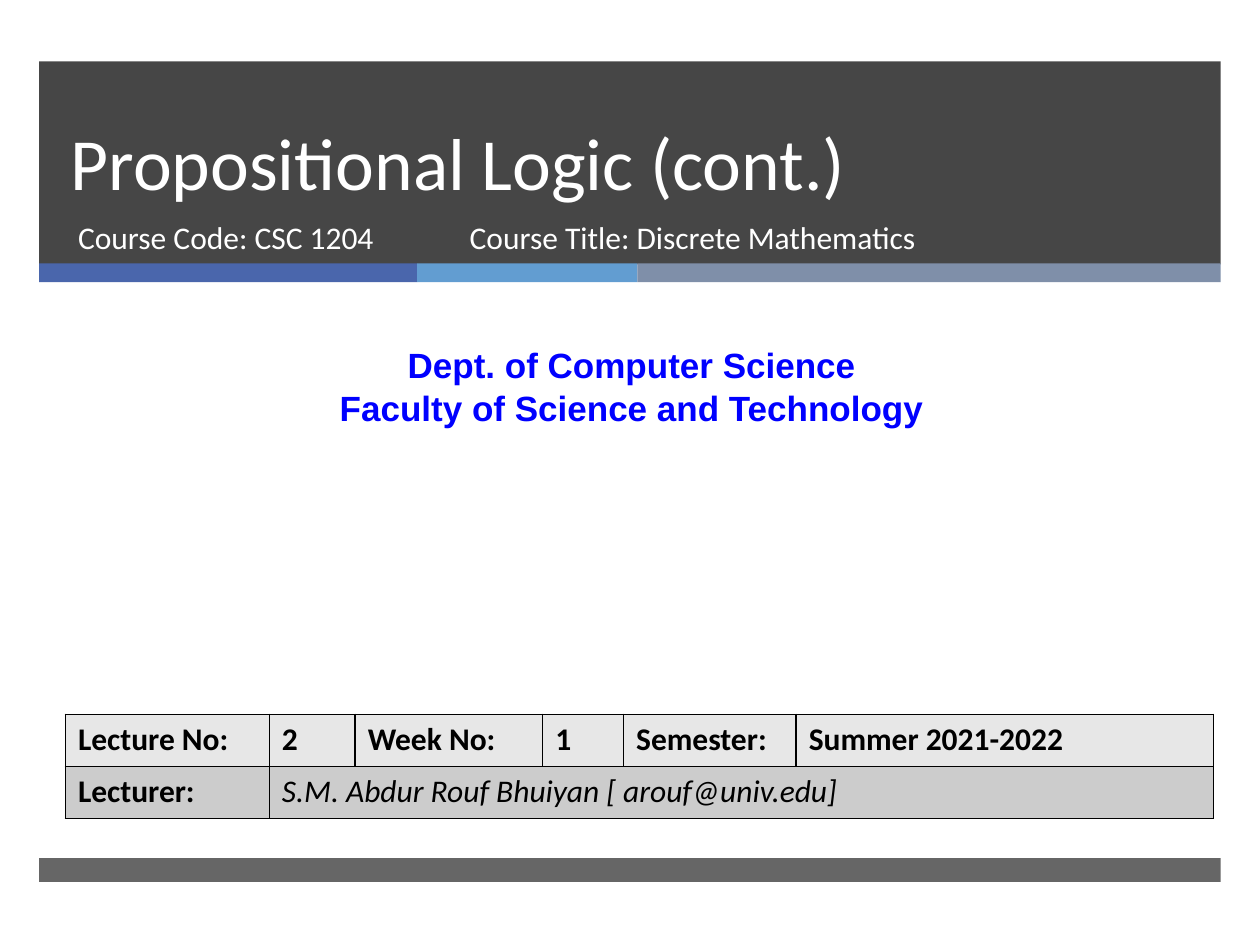
import dataclasses

import lxml.etree
import pptx
import pptx.dml.color
import pptx.enum.shapes
import pptx.enum.text
import pptx.oxml.ns
import pptx.util

Cm, Pt = pptx.util.Cm, pptx.util.Pt
RGB = pptx.dml.color.RGBColor.from_string
ALIGN, ANCHOR = pptx.enum.text.PP_ALIGN, pptx.enum.text.MSO_ANCHOR
qn = pptx.oxml.ns.qn


@dataclasses.dataclass(frozen=True)
class Theme:
    font: str = "Calibri"
    dept_font: str = "Arial"
    dark: str = "262626"
    accents: tuple = ("4A66AC", "629DD1", "7F8FA9")
    light_text: str = "FFFFFF"
    ink: str = "000000"
    dept: str = "0000FF"
    row_fills: tuple = ("E7E7E7", "CCCCCC")
    title_size: int = 42
    dept_size: int = 20
    body_size: int = 18


class CoverSlide:
    """Draws the parts of a lecture cover slide in one theme."""

    def __init__(self, slide, theme):
        self.slide = slide
        self.theme = theme

    def add_words(self, paragraph, text, color, size=None, font=None, bold=False, italic=False):
        run = paragraph.add_run()
        run.text = text
        run.font.name = font or self.theme.font
        run.font.size = Pt(size or self.theme.body_size)
        run.font.bold, run.font.italic = bold, italic
        run.font.color.rgb = RGB(color)

    def band(self, left, top, width, height, color, opacity=100):
        band = self.slide.shapes.add_shape(
            pptx.enum.shapes.MSO_SHAPE.RECTANGLE, Cm(left), Cm(top), Cm(width), Cm(height))
        band.shadow.inherit = False
        band.line.fill.background()
        band.fill.solid()
        band.fill.fore_color.rgb = RGB(color)
        if opacity < 100:
            tint = next(band.element.iter(qn("a:srgbClr")))
            lxml.etree.SubElement(tint, qn("a:alpha"), val=str(opacity * 1000))

    def placeholder(self, index, box, text, size, anchor, line_spacing=None):
        holder = self.slide.placeholders[index]
        holder.left, holder.top, holder.width, holder.height = map(Cm, box)
        holder.element.getparent().append(holder.element)
        frame = holder.text_frame
        frame.vertical_anchor = anchor
        frame.auto_size = pptx.enum.text.MSO_AUTO_SIZE.NONE
        paragraph = frame.paragraphs[0]
        paragraph.alignment = ALIGN.LEFT
        paragraph.space_before = Pt(0)
        paragraph.line_spacing = line_spacing
        self.add_words(paragraph, text, self.theme.light_text, size)

    def text(self, box, lines, color, align=ALIGN.LEFT, **style):
        frame = self.slide.shapes.add_textbox(*map(Cm, box)).text_frame
        frame.word_wrap = True
        for number, line in enumerate(lines):
            paragraph = frame.add_paragraph() if number else frame.paragraphs[0]
            paragraph.alignment = align
            self.add_words(paragraph, line, color, **style)

    def border(self, cell):
        properties = cell._tc.get_or_add_tcPr()
        for place, side in enumerate(("lnL", "lnR", "lnT", "lnB")):
            line = lxml.etree.Element(qn(f"a:{side}"), w=str(int(Pt(1))))
            fill = lxml.etree.SubElement(line, qn("a:solidFill"))
            lxml.etree.SubElement(fill, qn("a:srgbClr"), val=self.theme.ink)
            properties.insert(place, line)

    def table(self, left, top, widths, row_height, rows):
        table = self.slide.shapes.add_table(
            len(rows), len(widths), Cm(left), Cm(top),
            Cm(sum(widths)), Cm(row_height * len(rows))).table
        for column, width in zip(table.columns, widths):
            column.width = Cm(width)
        for r, (texts, fill) in enumerate(zip(rows, self.theme.row_fills)):
            table.rows[r].height = Cm(row_height)
            for c in range(len(widths)):
                cell = table.cell(r, c)
                cell.fill.solid()
                cell.fill.fore_color.rgb = RGB(fill)
                self.border(cell)
                if c < len(texts):
                    lecturer = r == 1 and c == 1
                    self.add_words(cell.text_frame.paragraphs[0], texts[c],
                                   self.theme.ink, bold=not lecturer, italic=lecturer)
            if len(texts) < len(widths):
                table.cell(r, len(texts) - 1).merge(table.cell(r, len(widths) - 1))


theme = Theme()
deck = pptx.Presentation()
deck.slide_width, deck.slide_height = Cm(25.4), Cm(19.05)
cover = CoverSlide(deck.slides.add_slide(deck.slide_layouts[0]), theme)

margin, full_width = 0.79, 23.82
cover.band(margin, 1.24, full_width, 4.09, theme.dark, 85)
accent_left = margin
for accent_width, accent in zip((7.62, 4.44, 11.76), theme.accents):
    cover.band(accent_left, 5.31, accent_width, 0.38, accent)
    accent_left += accent_width
cover.band(margin, 17.3, full_width, 0.48, theme.dark, 70)

cover.placeholder(0, (1.17, 1.24, 21.69, 3.03), "Propositional Logic (cont.)",
                  theme.title_size, ANCHOR.BOTTOM, Pt(46))
cover.placeholder(1, (1.32, 4.27, 7.75, 1.35), "Course Code: CSC 1204",
                  theme.body_size, ANCHOR.TOP)
cover.text((9.22, 4.27, 11.56, 1.35), ["Course Title: Discrete Mathematics"], theme.light_text)
cover.text((0.2, 6.81, 25.07, 1.96),
           ["Dept. of Computer Science", "Faculty of Science and Technology"],
           theme.dept, ALIGN.CENTER, size=theme.dept_size, font=theme.dept_font, bold=True)
cover.table(1.32, 14.4, (4.11, 1.73, 3.78, 1.63, 3.48, 8.41), 1.05, [
    ["Lecture No:", "2", "Week No:", "1", "Semester:", "Summer 2021-2022"],
    ["Lecturer:", "S.M. Abdur Rouf Bhuiyan [ arouf@univ.edu]"],
])

deck.save("out.pptx")
